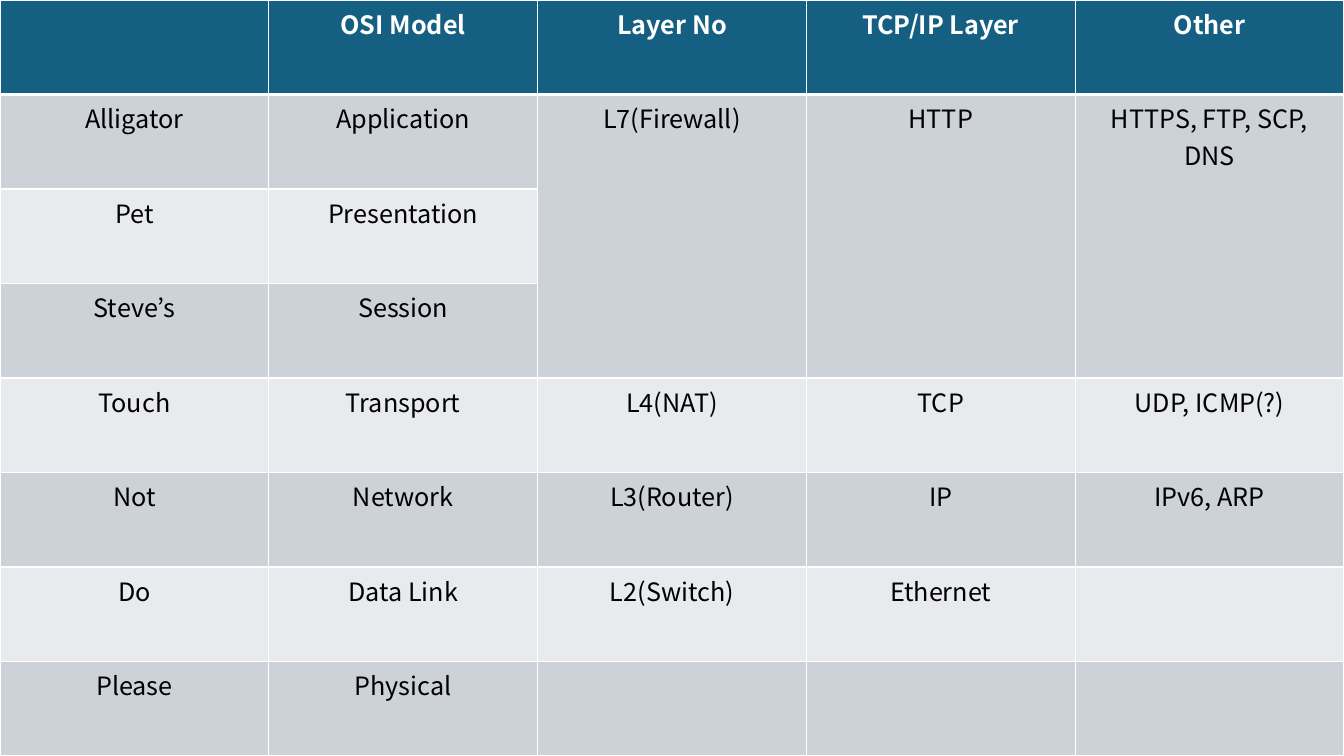
import pptx
import pptx.dml.color
import pptx.enum.text
import pptx.oxml.ns
import pptx.util
import lxml.etree

EMU_PER_PX = 9525
SLIDE_WIDTH, SLIDE_HEIGHT = 1280, 720
FONT = "Noto Sans CJK KR"
COLORS = {
    "header": "156082",
    "dark_band": "CCD2D8",
    "light_band": "E8EAED",
    "white": "FFFFFF",
    "black": "000000",
}
ROWS = [
    ["", "OSI Model", "Layer No", "TCP/IP Layer", "Other"],
    ["Alligator", "Application", "L7(Firewall)", "HTTP", "HTTPS, FTP, SCP, DNS"],
    ["Pet", "Presentation", "", "", ""],
    ["Steve’s", "Session", "", "", ""],
    ["Touch", "Transport", "L4(NAT)", "TCP", "UDP, ICMP(?)"],
    ["Not", "Network", "L3(Router)", "IP", "IPv6, ARP"],
    ["Do", "Data Link", "L2(Switch)", "Ethernet", ""],
    ["Please", "Physical", "", "", ""],
]
MERGED_COLUMNS = (2, 3, 4)
MERGED_ROWS = (1, 3)


def px(length):
    return pptx.util.Emu(length * EMU_PER_PX)


def rgb(name):
    return pptx.dml.color.RGBColor.from_string(COLORS[name])


def set_borders(cell, top, bottom):
    qn = pptx.oxml.ns.qn
    properties = cell._tc.get_or_add_tcPr()
    for side, points in (("lnL", 1), ("lnR", 1), ("lnT", top), ("lnB", bottom)):
        line = lxml.etree.SubElement(properties, qn("a:" + side), w=str(pptx.util.Pt(points)))
        fill = lxml.etree.SubElement(line, qn("a:solidFill"))
        lxml.etree.SubElement(fill, qn("a:srgbClr"), val=COLORS["white"])


def write_text(cell, text, color, bold):
    para = cell.text_frame.paragraphs[0]
    para.alignment = pptx.enum.text.PP_ALIGN.CENTER
    span = para.add_run()
    span.text = text
    span.font.name = FONT
    span.font.size = pptx.util.Pt(18)
    span.font.bold = bold
    span.font.color.rgb = rgb(color)


def format_cell(cell, row_index, text):
    is_header = row_index == 0
    set_borders(cell, 3 if row_index == 1 else 1, 3 if is_header else 1)
    band = "dark_band" if row_index % 2 else "light_band"
    cell.fill.solid()
    cell.fill.fore_color.rgb = rgb("header" if is_header else band)
    if text:
        write_text(cell, text, "white" if is_header else "black", is_header)


def add_layer_table(page):
    frame = page.shapes.add_table(
        len(ROWS), len(ROWS[0]), px(0), px(0), px(SLIDE_WIDTH), px(SLIDE_HEIGHT)
    )
    table = frame.table
    for column in table.columns:
        column.width = px(SLIDE_WIDTH // len(ROWS[0]))
    for row in table.rows:
        row.height = px(SLIDE_HEIGHT // len(ROWS))
    for row_index, texts in enumerate(ROWS):
        for column_index, text in enumerate(texts):
            format_cell(table.cell(row_index, column_index), row_index, text)
    first_row, last_row = MERGED_ROWS
    for column_index in MERGED_COLUMNS:
        table.cell(first_row, column_index).merge(table.cell(last_row, column_index))


def main():
    deck = pptx.Presentation()
    deck.slide_width = px(SLIDE_WIDTH)
    deck.slide_height = px(SLIDE_HEIGHT)
    page = deck.slides.add_slide(deck.slide_layouts[6])
    add_layer_table(page)
    deck.save("out.pptx")


if __name__ == "__main__":
    main()
